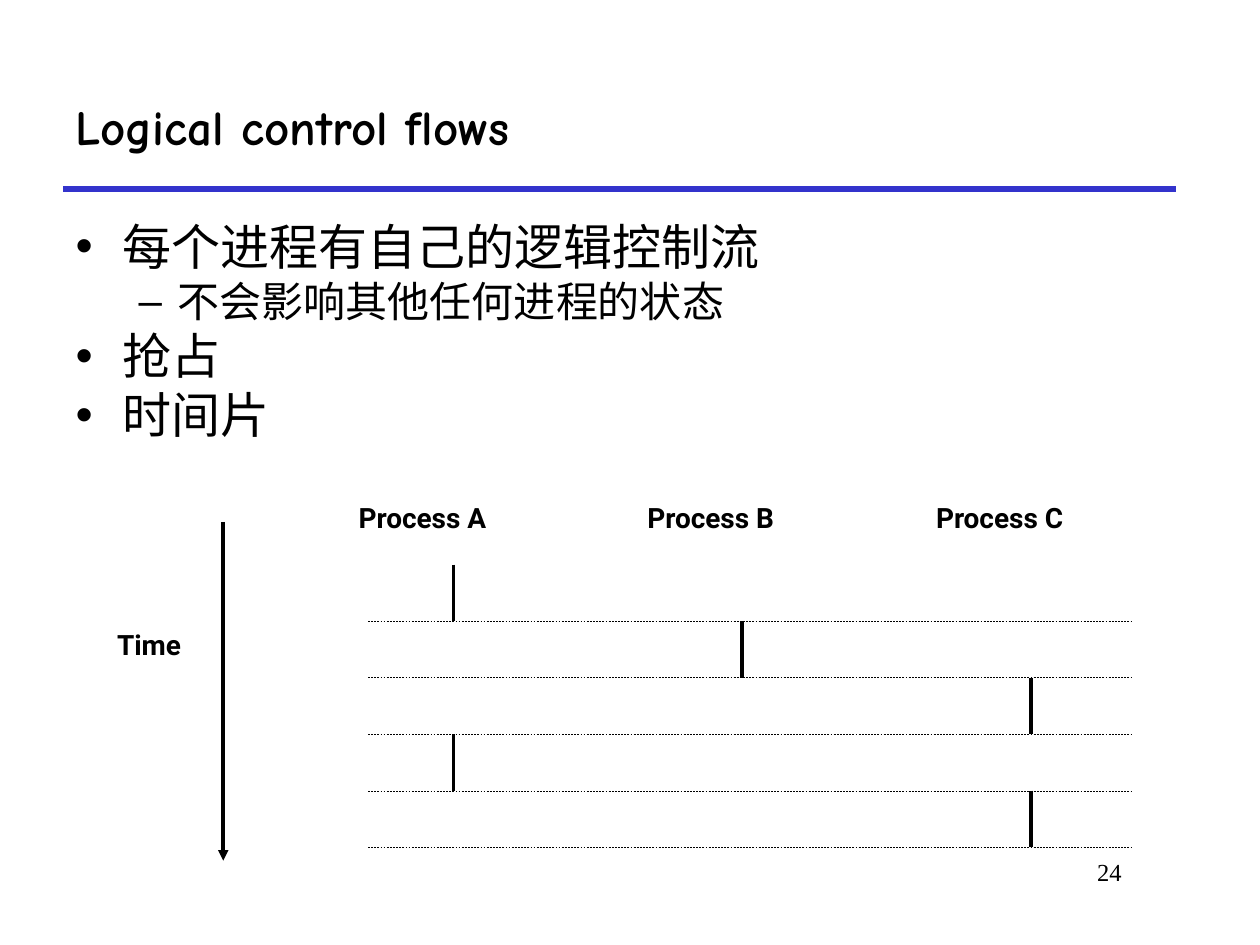
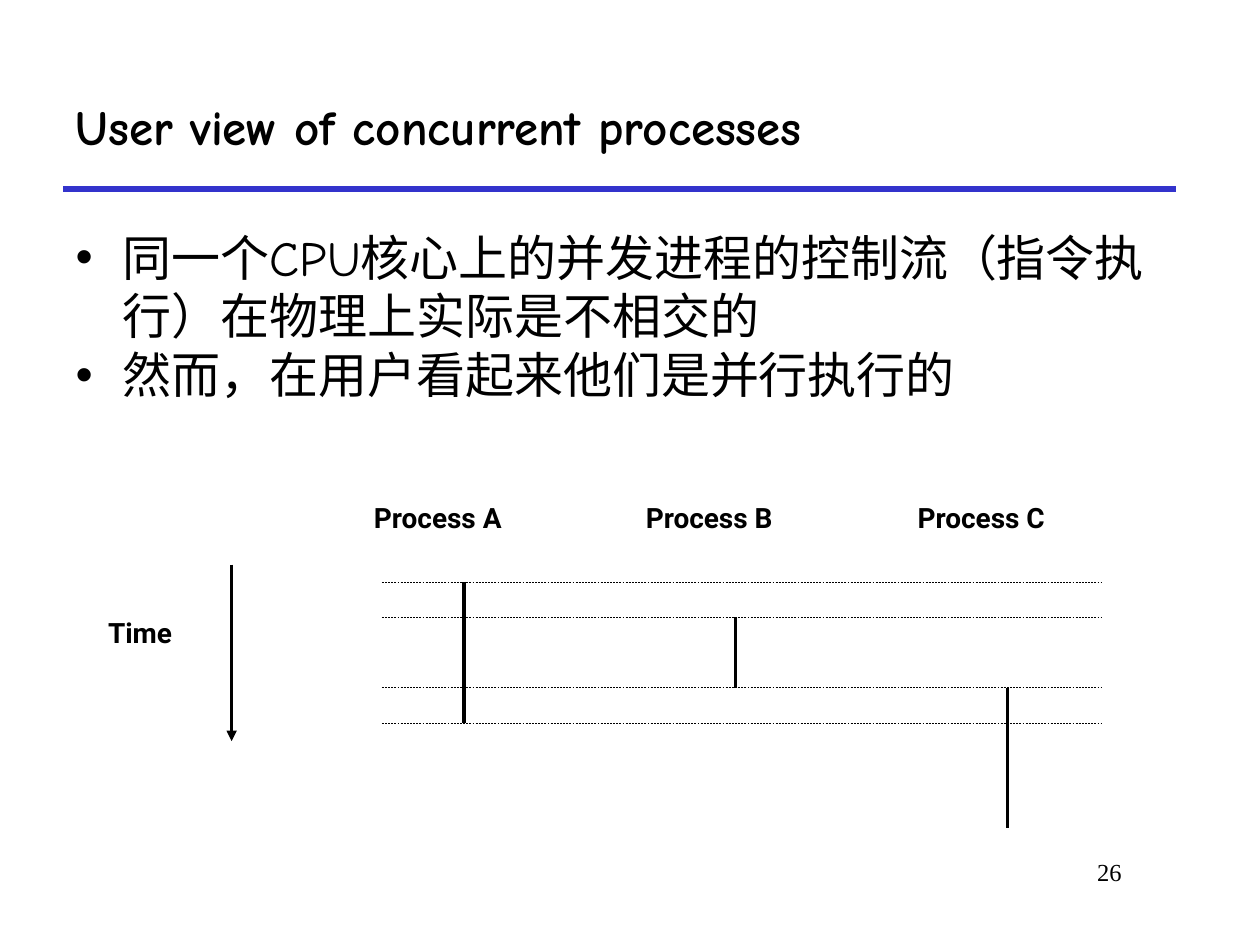
from lxml import etree
from pptx import Presentation
from pptx.dml.color import RGBColor
from pptx.enum.dml import MSO_LINE
from pptx.enum.shapes import MSO_CONNECTOR
from pptx.enum.text import MSO_ANCHOR, MSO_AUTO_SIZE, PP_ALIGN
from pptx.oxml.ns import qn
from pptx.util import Cm, Pt

BLACK = RGBColor(0x00, 0x00, 0x00)
BLUE = RGBColor(0x33, 0x33, 0xCC)

STRAIGHT = MSO_CONNECTOR.STRAIGHT
DASH = MSO_LINE.DASH
MIDDLE = MSO_ANCHOR.MIDDLE
NO_FIT, GROW = MSO_AUTO_SIZE.NONE, MSO_AUTO_SIZE.SHAPE_TO_FIT_TEXT
LEFT, RIGHT = PP_ALIGN.LEFT, PP_ALIGN.RIGHT

TITLE = {"name": "Comic Neue", "size": Pt(28), "bold": True}
LIST = [
    {"name": "Comic Neue", "size": Pt(28)},
    {"name": "Comic Neue", "size": Pt(24)},
]
LABEL = {"name": "Roboto", "size": Pt(16), "bold": True}
PAGE = {"name": "Times New Roman", "size": Pt(14)}

FLOWS = {
    "title": "Logical control flows",
    "page": "24",
    "top": 4.24,
    "items": [
        ("每个进程有自己的逻辑控制流", 0),
        ("不会影响其他任何进程的状态", 1),
        ("抢占", 0),
        ("时间片", 0),
    ],
    "arrow": (4.5, 10.52, 17.35),
    "time": (2.11, 12.52),
    "cols": (9.14, 5.82),
    "shift": 2.16,
    "rows": (11.38, 1.14),
    "span": 1,
    "bars": [(0, 0), (1, 1), (2, 2), (0, 3), (2, 4)],
    "marks": [1, 2, 3, 4, 5],
    "ends": (7.42, 22.81),
}
VIEW = {
    "title": "User view of concurrent processes",
    "page": "26",
    "top": 4.45,
    "items": [
        ("同一个CPU核心上的并发进程的控制流（指令执行）在物理上实际是不相交的", 0),
        ("然而，在用户看起来他们是并行执行的", 0),
    ],
    "arrow": (4.67, 11.38, 14.94),
    "time": (1.93, 12.29),
    "cols": (9.35, 5.48),
    "shift": 2.06,
    "rows": (11.73, 0.71),
    "span": 2,
    "bars": [(0, 0), (0, 2), (1, 1), (2, 3), (2, 5)],
    "marks": [0, 1, 3, 4],
    "ends": (7.7, 22.22),
}


class Deck:
    def __init__(self):
        self.prs = Presentation()
        self.prs.slide_width, self.prs.slide_height = Cm(25.4), Cm(19.05)
        self.slide = None

    def place(self, shape, *box):
        names = ("left", "top", "width", "height")
        for name, value in zip(names, box):
            setattr(shape, name, Cm(value))

    def fill(self, para, text, style, align=LEFT):
        """Put formatted text into a paragraph."""
        run = para.add_run()
        run.text = text
        for name, value in style.items():
            setattr(run.font, name, value)
        run.font.color.rgb = BLACK
        para.alignment = align

    def start(self, title, page):
        """Add a slide with its title, blue rule and page number."""
        self.slide = self.prs.slides.add_slide(self.prs.slide_layouts[1])
        self.line(1.27, 3.81, 23.7, 3.81, 3, BLUE)
        self.text(page, 19.25, 17.15, 3.61, 1.27, PAGE, RIGHT)
        head = self.slide.shapes.title
        self.place(head, 1.27, 1.27, 22.43, 2.54)
        frame = head.text_frame
        frame.auto_size = NO_FIT
        frame.vertical_anchor = MIDDLE
        self.fill(frame.paragraphs[0], title, TITLE)

    def body(self, items, top):
        shape = self.slide.placeholders[1]
        self.place(shape, 1.27, top, 22.23, 5.51)
        frame = shape.text_frame
        frame.auto_size = NO_FIT
        for i, (text, level) in enumerate(items):
            para = frame.add_paragraph() if i else frame.paragraphs[0]
            para.level = level
            para.space_before = Pt(0)
            self.fill(para, text, LIST[level])

    def text(self, text, x, y, w, h, style, align=LEFT):
        box = self.slide.shapes.add_textbox(Cm(x), Cm(y), Cm(w), Cm(h))
        box.text_frame.word_wrap = True
        self.fill(box.text_frame.paragraphs[0], text, style, align)
        return box

    def label(self, text, x, y, w):
        frame = self.text(text, x, y, w, 0.94, LABEL).text_frame
        frame.word_wrap = False
        frame.auto_size = GROW

    def line(self, x1, y1, x2, y2, width=2, color=BLACK, dash=None, head=False):
        link = self.slide.shapes.add_connector(
            STRAIGHT, Cm(x1), Cm(y1), Cm(x2), Cm(y2))
        link.line.width = Pt(width)
        link.line.color.rgb = color
        if dash:
            link.line.dash_style = dash
        props = link._element.spPr
        if head:
            etree.SubElement(props.find(qn("a:ln")), qn("a:tailEnd"), type="triangle")
        etree.SubElement(props, qn("a:effectLst"))

    def chart(self, data):
        """Draw the timeline: time arrow, process columns and switch marks."""
        x, top, end = data["arrow"]
        self.line(x, top, x, end, head=True)
        self.label("Time", *data["time"], 1.83)

        left, gap = data["cols"]
        cols = [left + gap * i for i in range(3)]
        for name, x in zip("ABC", cols):
            self.label(f"Process {name}", x - data["shift"], 9.96, 3.27)

        first, step = data["rows"]
        for col, row in data["bars"]:
            y = first + step * row
            self.line(cols[col], y, cols[col], y + step * data["span"])

        x1, x2 = data["ends"]
        for row in data["marks"]:
            y = first + step * row
            self.line(x1, y, x2, y, 0.25, dash=DASH)


def main():
    deck = Deck()
    for data in (FLOWS, VIEW):
        deck.start(data["title"], data["page"])
        deck.body(data["items"], data["top"])
        deck.chart(data)
    deck.prs.save("out.pptx")


if __name__ == "__main__":
    main()
